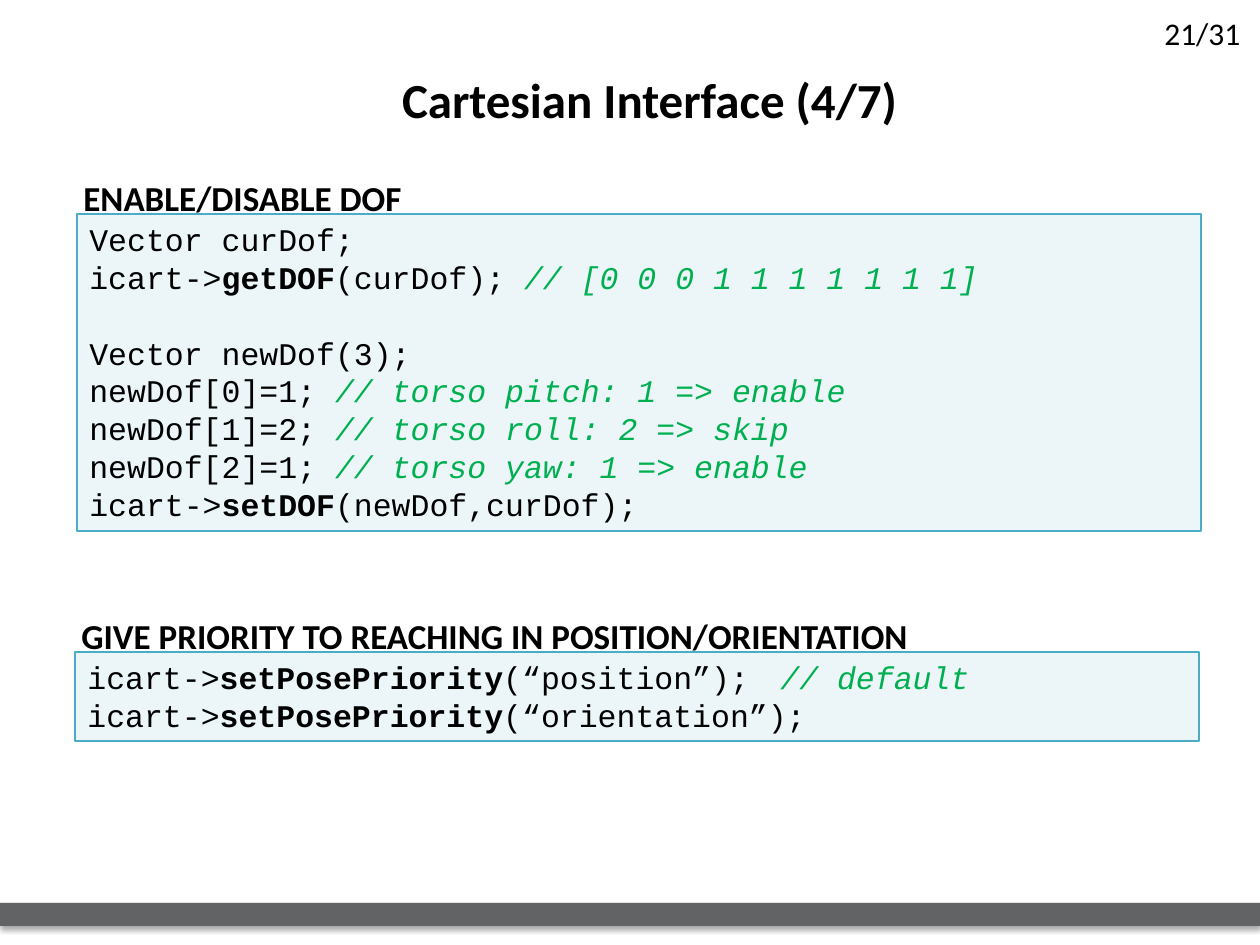
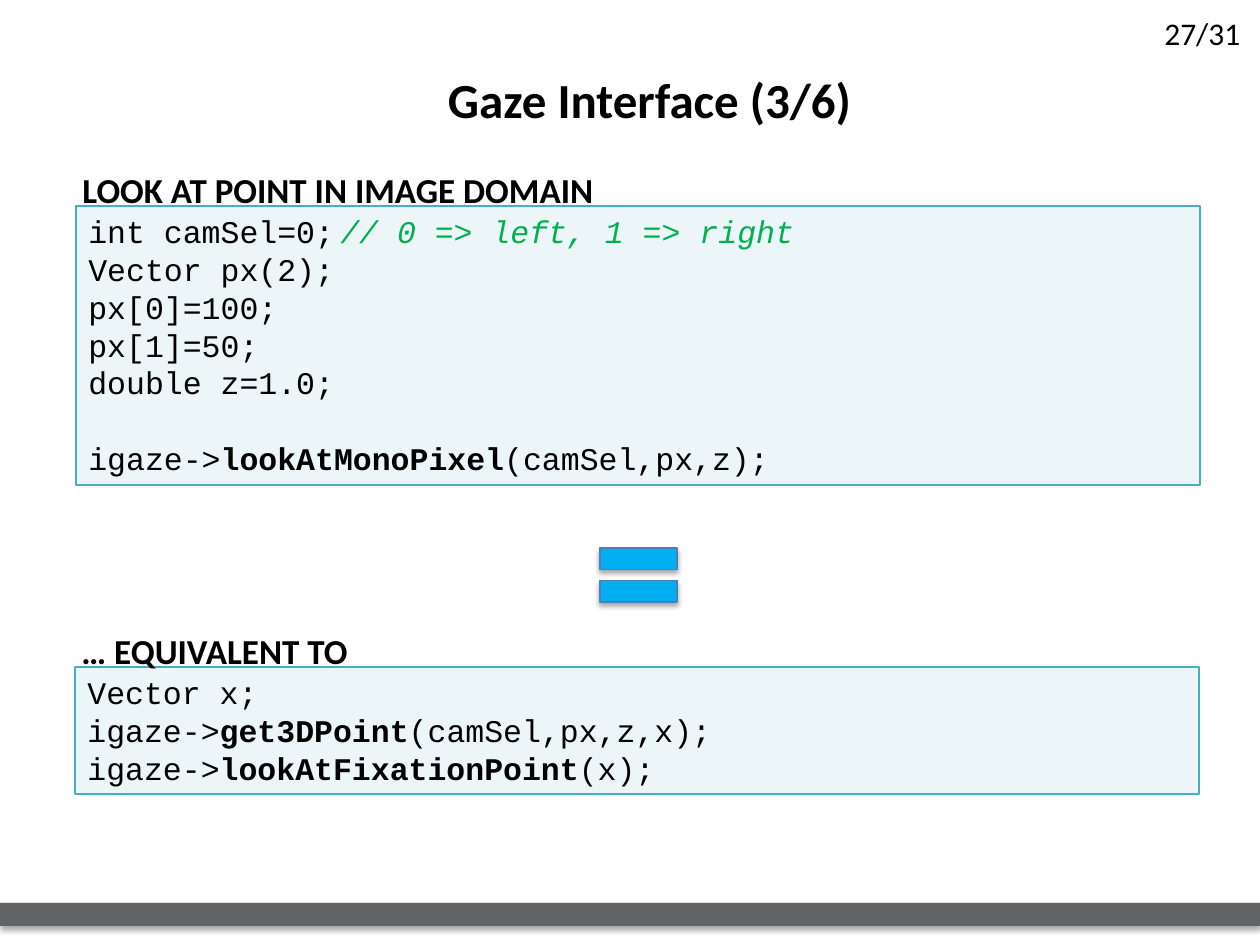
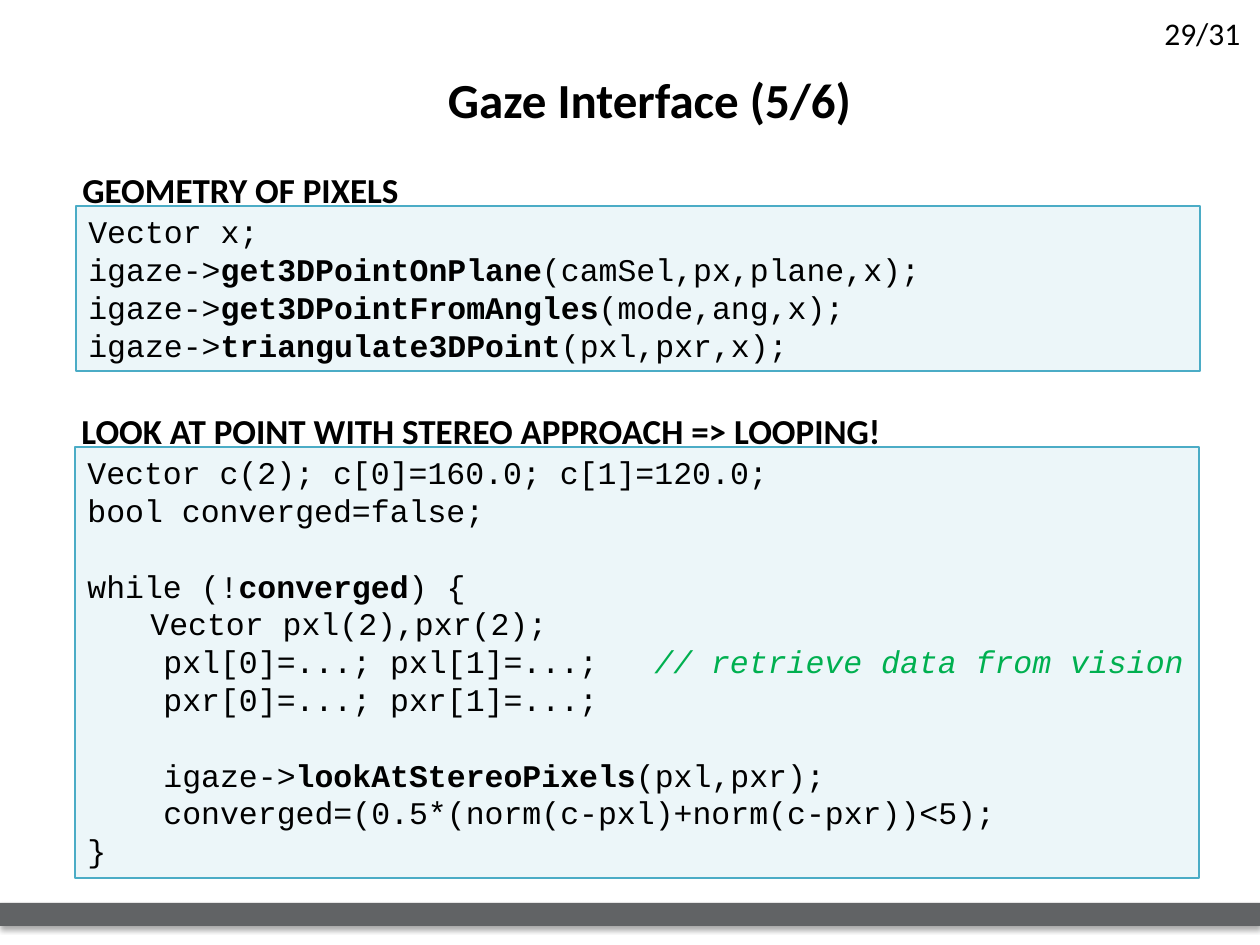
from lxml import etree
from pptx import Presentation
from pptx.dml.color import RGBColor
from pptx.enum.shapes import MSO_SHAPE
from pptx.enum.text import MSO_ANCHOR, PP_ALIGN
from pptx.oxml.ns import qn
from pptx.util import Inches, Pt

PX = Inches(1) / 126
SLIDE_W, SLIDE_H = 1260, 945
BLACK, GREY, GREEN = "000000", "616365", "00B050"
CODE_FILL, CODE_LINE = "DBEEF4", "4BACC6"
SIGN_FILL, SIGN_LINE = "00B0F0", "4B7EBC"
BODY_FONT, CODE_FONT = "Calibri", "Courier New"
LINE_H, CODE_PAD, CODE_W = 38, 13, 1124
LINE_PITCH = 21.6  # points
TOTAL_PAGES = 31


def px(length):
    return round(length * PX)


def box(*lengths):
    return [px(length) for length in lengths]


def rgb(colour):
    return RGBColor.from_string(colour)


def style(font, size, name=BODY_FONT, bold=False):
    font.size, font.name, font.bold = Pt(size), name, bold
    font.color.rgb = rgb(BLACK)


def add_shape(slide, preset, bounds, fill, line=None, line_width=1):
    shape = slide.shapes.add_shape(preset, *box(*bounds))
    shape.shadow.inherit = False
    shape.fill.solid()
    shape.fill.fore_color.rgb = rgb(fill)
    if line:
        shape.line.color.rgb = rgb(line)
        shape.line.width = Pt(line_width)
    else:
        shape.line.fill.background()
    return shape


def add_alpha(colour_element, percent):
    etree.SubElement(colour_element, qn("a:alpha"), val=str(percent * 1000))


def cast_shadow(shape):
    effects = shape._element.spPr.find(qn("a:effectLst"))
    shadow = etree.SubElement(
        effects, qn("a:outerShdw"), blurRad=str(Pt(3.1)), dist=str(Pt(1.8)),
        dir="5400000", rotWithShape="0")
    add_alpha(etree.SubElement(shadow, qn("a:srgbClr"), val=BLACK), 35)


def add_label(slide, bounds, text, size, bold=False, wrap=True):
    label = slide.shapes.add_textbox(*box(*bounds))
    label.text_frame.word_wrap = wrap
    paragraph = label.text_frame.paragraphs[0]
    paragraph.text = text
    style(paragraph.font, size, bold=bold)


def add_frame(slide, title, page):
    # Footer band and page count
    cast_shadow(add_shape(slide, MSO_SHAPE.RECTANGLE, (0, 903, SLIDE_W, 23), GREY))
    add_label(slide, (1152, 8, 113, 50), f"{page}/{TOTAL_PAGES}", 18)

    # Title
    heading = slide.shapes.title
    heading.left, heading.top, heading.width, heading.height = box(203, 63, 893, 72)
    heading.text_frame.text = title
    heading.text_frame.vertical_anchor = MSO_ANCHOR.TOP
    paragraph = heading.text_frame.paragraphs[0]
    paragraph.alignment = PP_ALIGN.CENTER
    style(paragraph.font, 28, bold=True)


def set_tabs(paragraph, stops):
    tab_list = etree.SubElement(paragraph._p.get_or_add_pPr(), qn("a:tabLst"))
    for stop in stops:
        etree.SubElement(tab_list, qn("a:tab"), pos=str(px(stop)), algn="l")


def write_code_line(paragraph, line):
    """Backticks enclose bold names; text from // on is a green comment."""
    code, slashes, comment = line.partition("//")
    for index, part in enumerate(code.split("`")):
        if part:
            run = paragraph.add_run()
            run.text = part
            if index % 2:
                run.font.bold = True
    if slashes:
        run = paragraph.add_run()
        run.text = slashes + comment
        run.font.italic = True
        run.font.color.rgb = rgb(GREEN)


def add_code_section(slide, left, top, heading, heading_width, lines):
    """An empty line becomes space before the next one."""
    # Code panel
    panel = add_shape(
        slide, MSO_SHAPE.RECTANGLE,
        (left, top, CODE_W, LINE_H * len(lines) + CODE_PAD), CODE_FILL, CODE_LINE)
    add_alpha(panel._element.spPr.find(qn("a:solidFill"))[0], 50)
    frame = panel.text_frame
    frame.word_wrap = True
    frame.vertical_anchor = MSO_ANCHOR.TOP

    # Code lines, each with its tab stops if it has any
    paragraph, gap = frame.paragraphs[0], 0
    for number, line in enumerate(lines):
        if not line:
            gap += LINE_PITCH
            continue
        text, *stops = (line,) if isinstance(line, str) else line
        if number:
            paragraph = frame.add_paragraph()
        paragraph.alignment = PP_ALIGN.LEFT
        paragraph.line_spacing = Pt(LINE_PITCH)
        paragraph.space_before = Pt(gap)
        if stops:
            set_tabs(paragraph, stops)
        style(paragraph.font, 18, CODE_FONT)
        write_code_line(paragraph, text)
        gap = 0

    # Heading sitting on the panel's top edge
    add_label(slide, (left - 6, top - 44, heading_width, 55), heading, 20,
              bold=True, wrap=False)


def add_equal_sign(slide, left, top):
    sign = add_shape(slide, MSO_SHAPE.MATH_EQUAL, (left, top, 105, 92),
                     SIGN_FILL, SIGN_LINE, 0.75)
    sign.adjustments[0], sign.adjustments[1] = 0.235, 0.118
    cast_shadow(sign)


CODE_SLIDES = [
    ("Cartesian Interface (4/7)", 21, [
        (77, 214, "ENABLE/DISABLE DOF", 360, [
            "Vector curDof;",
            "icart->`getDOF`(curDof); // [0 0 0 1 1 1 1 1 1 1]",
            "",
            "Vector newDof(3);",
            "newDof[0]=1; // torso pitch: 1 => enable",
            "newDof[1]=2; // torso roll: 2 => skip",
            "newDof[2]=1; // torso yaw: 1 => enable",
            "icart->`setDOF`(newDof,curDof);",
        ]),
        (75, 652, "GIVE PRIORITY TO REACHING IN POSITION/ORIENTATION", 859, [
            ("icart->`setPosePriority`(“position”);\t// default", 693),
            "icart->`setPosePriority`(“orientation”);",
        ]),
    ]),
    ("Gaze Interface (3/6)", 27, [
        (76, 206, "LOOK AT POINT IN IMAGE DOMAIN", 541, [
            ("int camSel=0;\t// 0 => left, 1 => right", 252),
            "Vector px(2);",
            "px[0]=100;",
            "px[1]=50;",
            "double z=1.0;",
            "",
            "igaze->`lookAtMonoPixel`(camSel,px,z);",
        ]),
        (75, 667, "… EQUIVALENT TO", 294, [
            "Vector x;",
            "igaze->`get3DPoint`(camSel,px,z,x);",
            "igaze->`lookAtFixationPoint`(x);",
        ]),
    ]),
    ("Gaze Interface (5/6)", 29, [
        (76, 206, "GEOMETRY OF PIXELS", 344, [
            "Vector x;",
            "igaze->`get3DPointOnPlane`(camSel,px,plane,x);",
            "igaze->`get3DPointFromAngles`(mode,ang,x);",
            "igaze->`triangulate3DPoint`(pxl,pxr,x);",
        ]),
        (75, 447, "LOOK AT POINT WITH STEREO APPROACH => LOOPING!", 832, [
            "Vector c(2); c[0]=160.0; c[1]=120.0;",
            "bool converged=false;",
            "",
            "while (!`converged`) {",
            ("\tVector pxl(2),pxr(2);", 63),
            ("\tpxl[0]=...; pxl[1]=...;\t// retrieve data from vision", 76, 567),
            ("\tpxr[0]=...; pxr[1]=...;", 76),
            "",
            ("\tigaze->`lookAtStereoPixels`(pxl,pxr);", 76),
            ("\tconverged=(0.5*(norm(c-pxl)+norm(c-pxr))<5);", 76),
            "}",
        ]),
    ]),
]


def main():
    deck = Presentation()
    deck.slide_width, deck.slide_height = px(SLIDE_W), px(SLIDE_H)
    title_only = deck.slide_layouts[5]
    for title, page, sections in CODE_SLIDES:
        slide = deck.slides.add_slide(title_only)
        add_frame(slide, title, page)
        for section in sections:
            add_code_section(slide, *section)
        if page == 27:
            add_equal_sign(slide, 586, 529)
    deck.save("out.pptx")


if __name__ == "__main__":
    main()
